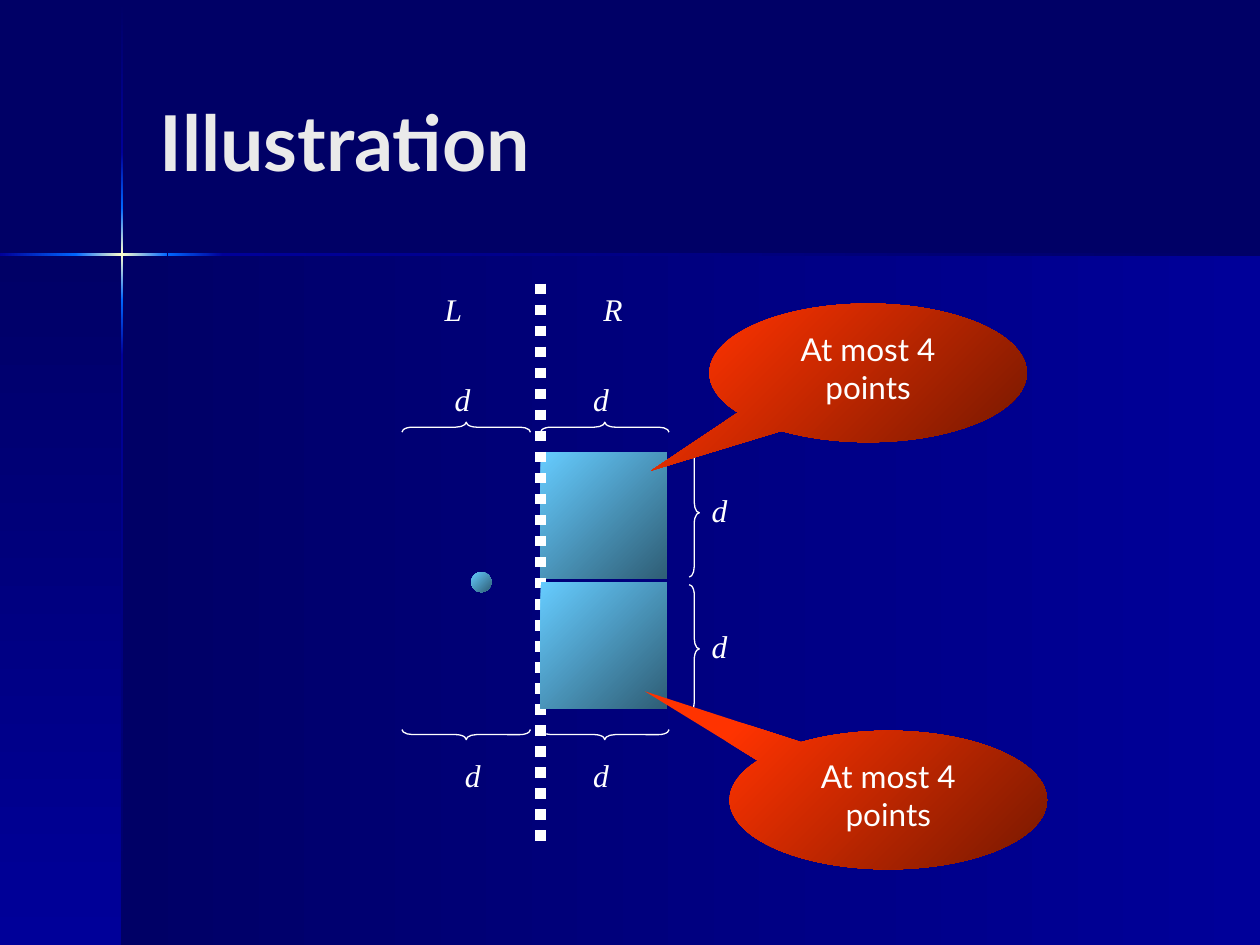
from copy import deepcopy

from lxml import etree
from pptx import Presentation
from pptx.dml.color import RGBColor
from pptx.enum.dml import MSO_LINE
from pptx.enum.shapes import MSO_CONNECTOR, MSO_SHAPE
from pptx.enum.text import MSO_ANCHOR, PP_ALIGN
from pptx.oxml.ns import qn
from pptx.util import Inches, Pt

RECTANGLE = MSO_SHAPE.RECTANGLE
ELLIPSE = MSO_SHAPE.OVAL
BRACE = MSO_SHAPE.RIGHT_BRACE
CALLOUT = MSO_SHAPE.OVAL_CALLOUT
STRAIGHT = MSO_CONNECTOR.STRAIGHT
DOTTED = MSO_LINE.ROUND_DOT
TOP, MIDDLE = MSO_ANCHOR.TOP, MSO_ANCHOR.MIDDLE
LEFT, CENTER = PP_ALIGN.LEFT, PP_ALIGN.CENTER

NAVY, BLUE, BRIGHT, CREAM = "000066", "000099", "0066FF", "FFFFCC"
WHITE = "FFFFFF"
SKY = ("66CCFF", "2F5E76")
RED = ("FF3300", "761800")
GLOW = (BRIGHT, CREAM, BRIGHT)

TITLE = {"size": Pt(44), "name": "Lato", "bold": True}
LABEL = {"size": Pt(18), "name": "Times New Roman", "italic": True}
NOTE = {"size": Pt(18), "name": "Lato"}


def rgb(colour):
    return RGBColor.from_string(colour)


class SlideBuilder:
    def __init__(self, slide):
        self.slide = slide
        self.slide.background.fill.solid()
        self.slide.background.fill.fore_color.rgb = rgb(NAVY)

    def shape(self, kind, box, colours, angle=45):
        """Draw a preset shape with evenly spaced gradient colours."""
        shape = self.slide.shapes.add_shape(kind, *map(Inches, box))
        shape.shadow.inherit = False
        shape.line.fill.background()
        shape.fill.gradient()
        shape.fill.gradient_angle = (360 - angle) % 360
        stop_list = shape._element.spPr.find(".//" + qn("a:gsLst"))
        for _ in colours[2:]:
            stop_list.append(deepcopy(stop_list[0]))
        for index, stop in enumerate(shape.fill.gradient_stops):
            stop.position = index / (len(colours) - 1)
            stop.color.rgb = rgb(colours[index])
        return shape

    def set_text(self, shape, text, style, colour=WHITE, align=LEFT, anchor=TOP, wrap=True):
        frame = shape.text_frame
        frame.word_wrap = wrap
        frame.vertical_anchor = anchor
        paragraph = frame.paragraphs[0]
        paragraph.text = text
        paragraph.alignment = align
        for name, value in style.items():
            setattr(paragraph.font, name, value)
        paragraph.font.color.rgb = rgb(colour)

    def text(self, box, text, style, **options):
        shape = self.slide.shapes.add_textbox(*map(Inches, box))
        self.set_text(shape, text, style, **options)

    def label(self, left, top, text):
        self.text((left, top, 0.32, 0.4), text, LABEL, wrap=False)

    def brace(self, left, top, rotation=0):
        box = (left, top, 0.08, 1.02)
        shape = self.slide.shapes.add_shape(BRACE, *map(Inches, box))
        shape.shadow.inherit = False
        shape.fill.background()
        shape.line.color.rgb = rgb(WHITE)
        shape.line.width = Pt(0.75)
        shape.adjustments[0] = 1.04
        shape.rotation = rotation

    def dotted_line(self, x, top, bottom):
        line = self.slide.shapes.add_connector(
            STRAIGHT, Inches(x), Inches(top), Inches(x), Inches(bottom))
        line.line.color.rgb = rgb(WHITE)
        line.line.width = Pt(6)
        line.line.dash_style = DOTTED
        etree.SubElement(line._element.spPr, qn("a:effectLst"))

    def callout(self, left, top, tip, text):
        shape = self.shape(CALLOUT, (left, top, 2.52, 1.1), RED)
        for index, offset in enumerate(tip):
            shape.adjustments[index] = offset
        self.set_text(shape, text, NOTE, align=CENTER)


def main():
    presentation = Presentation()
    presentation.slide_width = Inches(10)
    presentation.slide_height = Inches(7.5)
    builder = SlideBuilder(presentation.slides.add_slide(presentation.slide_layouts[6]))

    # Background panels
    builder.shape(RECTANGLE, (0.97, 2.02, 9.03, 5.48), (NAVY, BLUE), 0)
    builder.shape(RECTANGLE, (0, 2.02, 0.97, 5.48), (NAVY, BLUE), 90)

    # Crossing light beams, as (start, end, colours)
    vertical_beam = [
        (0.01, 1.21, (NAVY, BLUE)),
        (2.82, 7.5, (BLUE, NAVY)),
        (2.38, 2.82, (BRIGHT, BLUE)),
        (1.21, 1.65, (BLUE, BRIGHT)),
        (1.65, 2.38, GLOW),
    ]
    horizontal_beam = [
        (1.77, 10, (BLUE, NAVY)),
        (0, 0.61, (BLUE, BRIGHT)),
        (1.33, 1.77, (BRIGHT, BLUE)),
        (0.6, 1.33, GLOW),
    ]
    for start, end, colours in vertical_beam:
        builder.shape(RECTANGLE, (0.96, start, 0.02, end - start), colours, 90)
    for start, end, colours in horizontal_beam:
        builder.shape(RECTANGLE, (start, 2.01, end - start, 0.02), colours, 0)

    builder.text((1.17, 0.33, 8.25, 1.57), "Illustration", TITLE,
                 colour="EAEAEA", anchor=MIDDLE)

    # Squares on the dividing line, and the point to its left
    builder.shape(RECTANGLE, (4.29, 3.59, 1, 1), SKY)
    builder.dotted_line(4.29, 2.25, 6.74)
    builder.shape(RECTANGLE, (4.29, 4.62, 1, 1), SKY)
    builder.shape(ELLIPSE, (3.74, 4.54, 0.16, 0.16), SKY)

    # Braces: beside each square, then above and below each strip
    for top in (3.56, 4.64):
        builder.brace(5.47, top)
    for left in (3.66, 4.76):
        builder.brace(left, 2.88, 270)
        builder.brace(left, 5.32, 90)

    # Distance and side labels
    for left, top in ((5.55, 3.85), (5.55, 4.93), (3.51, 2.97),
                      (4.61, 2.97), (3.59, 5.95), (4.61, 5.95)):
        builder.label(left, top, "d")
    builder.label(3.43, 2.25, "L")
    builder.label(4.69, 2.25, "R")

    # Callouts
    builder.callout(5.63, 2.41, (-0.683, 0.705), "At most 4 points")
    builder.callout(5.79, 5.8, (-0.767, -0.785), "At most 4 points")

    presentation.save("out.pptx")


if __name__ == "__main__":
    main()
